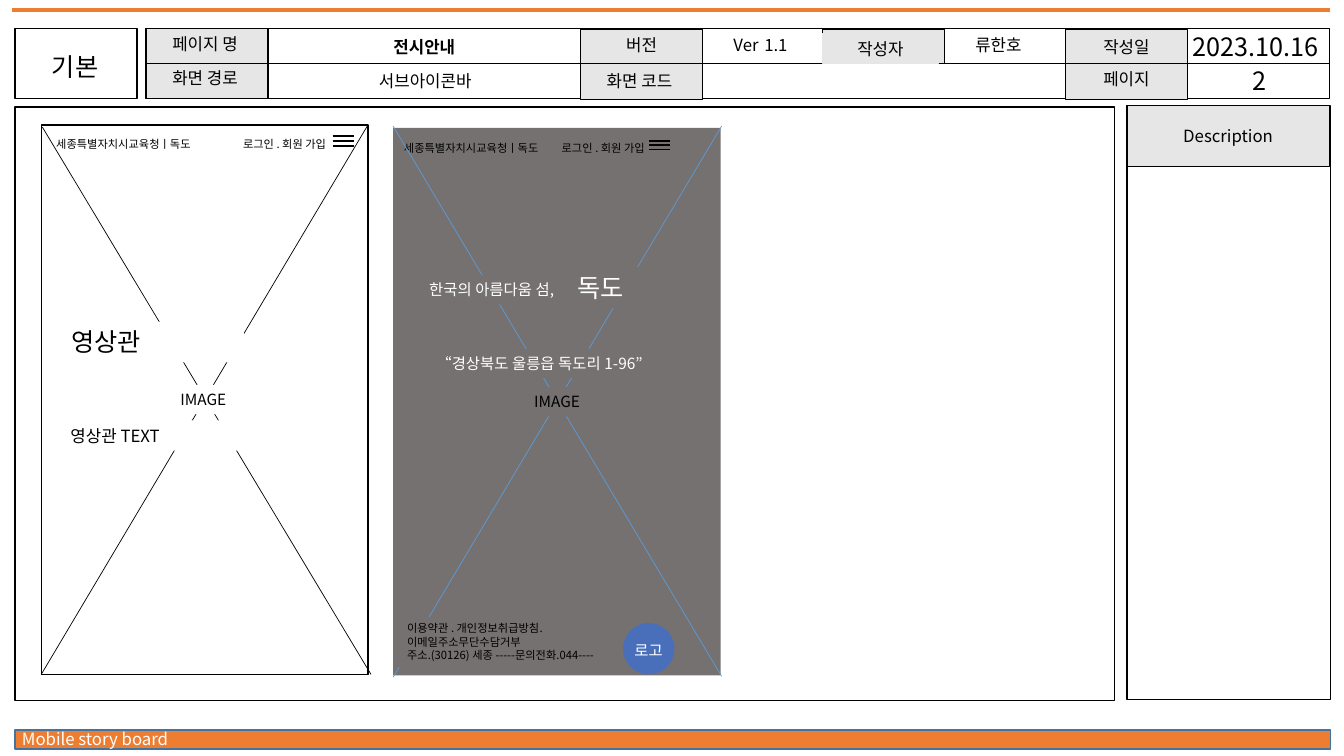
from dataclasses import dataclass

from lxml.etree import SubElement
from pptx import Presentation
from pptx.dml.color import RGBColor
from pptx.enum.shapes import MSO_CONNECTOR, MSO_SHAPE
from pptx.enum.text import MSO_ANCHOR, MSO_AUTO_SIZE, PP_ALIGN
from pptx.oxml.ns import qn
from pptx.util import Pt


@dataclass(frozen=True)
class Theme:
    """Colours, font and type sizes of the storyboard."""
    font: str = "Noto Sans CJK KR"
    ink: str = "000000"
    white: str = "FFFFFF"
    label: str = "E7E6E6"
    orange: str = "ED7D31"
    bar_edge: str = "43739E"
    screen: str = "767171"
    cross: str = "5B9BD5"
    badge: str = "496FBB"
    large: int = 18
    normal: int = 12
    caption: int = 11
    small: int = 8


theme = Theme()
LEFT, CENTER, RIGHT = PP_ALIGN.LEFT, PP_ALIGN.CENTER, PP_ALIGN.RIGHT

deck = Presentation()
deck.slide_width, deck.slide_height = Pt(960), Pt(540)
page = deck.slides.add_slide(deck.slide_layouts[5])


def add_box(area, paragraphs=(), size=theme.normal, color=theme.ink, align=LEFT,
            fill=None, line=None, weight=1, wrap=True, bold=False,
            kind=MSO_SHAPE.RECTANGLE, box=None):
    """Draw a box, or format the given one; paragraphs are lists of (text, size) or one string."""
    left, top, width, height = (Pt(value) for value in area)
    if box is None and (fill or line):
        box = page.shapes.add_shape(kind, left, top, width, height)
        box.shadow.inherit = False
    elif box is None:
        box = page.shapes.add_textbox(left, top, width, height)
    box.left, box.top, box.width, box.height = left, top, width, height
    if fill:
        box.fill.solid()
        box.fill.fore_color.rgb = RGBColor.from_string(fill)
    else:
        box.fill.background()
    if line:
        box.line.color.rgb = RGBColor.from_string(line)
        box.line.width = Pt(weight)
    else:
        box.line.fill.background()
    if not paragraphs:
        return
    if isinstance(paragraphs, str):
        paragraphs = [[(paragraphs, size)]]
    frame = box.text_frame
    frame.word_wrap = wrap
    frame.auto_size = MSO_AUTO_SIZE.SHAPE_TO_FIT_TEXT
    frame.vertical_anchor = MSO_ANCHOR.TOP
    for index, runs in enumerate(paragraphs):
        para = frame.add_paragraph() if index else frame.paragraphs[0]
        para.alignment = align
        for text, run_size in runs:
            span = para.add_run()
            span.text = text
            span.font.size = Pt(run_size)
            span.font.bold = bold
            span.font.name = theme.font
            span.font.color.rgb = RGBColor.from_string(color)
            SubElement(span.font._element, qn("a:ea"), typeface=theme.font)


def add_line(start, end, color=theme.ink, weight=1.0):
    """Draw a straight line without shadow between two points."""
    rule = page.shapes.add_connector(
        MSO_CONNECTOR.STRAIGHT, Pt(start[0]), Pt(start[1]), Pt(end[0]), Pt(end[1]))
    rule.line.color.rgb = RGBColor.from_string(color)
    rule.line.width = Pt(weight)
    SubElement(rule._element.spPr, qn("a:effectLst"))


# Page bands
add_line((8.6, 7.2), (949.7, 7.2), theme.orange, 3)
add_box((10.8, 521.3, 939.6, 13.7), fill=theme.orange, line=theme.bar_edge)
add_box((8.6, 517, 230.4, 21.8), "Mobile story board", color=theme.white)

# Header and content frames
for area in [(10.8, 20.2, 87.1, 50.4), (104.4, 20.2, 845.3, 50.4),
             (10.8, 76.3, 785.5, 424.1), (805, 75.6, 145.4, 424.1)]:
    add_box(area, line=theme.ink)
for area in [(104.4, 20.2, 87.1, 50.4), (414.7, 20.9, 87.1, 50.4),
             (587.5, 20.9, 87.1, 24.5), (761, 20.9, 87.1, 50.4),
             (805, 75.6, 144.7, 43.2)]:
    add_box(area, fill=theme.label, line=theme.ink)
add_line((104.4, 45.4), (949.7, 45.4), weight=0.5)

# Header labels and values
add_box((12.2, 33.1, 82.8, 30.2), "기본", theme.large, align=CENTER)
for left, top, width, text in [
        (105.1, 20.9, 82.8, "페이지 명"), (105.1, 44.6, 82.8, "화면 경로"),
        (416.9, 21.6, 82.8, "버전"), (415.4, 46.8, 82.8, "화면 코드"),
        (763.2, 23, 82.8, "작성일"), (763.2, 45.4, 82.8, "페이지"),
        (640.8, 21.6, 144.7, "류한호"), (221, 46.8, 165.6, "서브아이콘바"),
        (815, 86.4, 124.6, "Description")]:
    add_box((left, top, width, 21.8), text, align=CENTER)
add_box((587.5, 23.8, 82.8, 21.8), "작성자", align=CENTER, line=theme.label, weight=0.75)
add_box((824.4, 18.7, 144.7, 29.1), "2023.10.16", theme.large, align=CENTER)
add_box((849.6, 43.2, 100.1, 29.1), "2", theme.large, align=CENTER)
add_box((470.9, 15.1, 144.7, 29.1), align=CENTER, paragraphs=[
    [("Ver", theme.normal), (" ", theme.large), ("1.1", theme.normal)]])
add_box((220.3, 22.3, 165.6, 21.8), "전시안내", align=CENTER, bold=True,
        box=page.shapes.title)

# Phone screens: frame, menu bar and crossed image area
phones = [
    dict(frame=(29.5, 89.3, 233.3, 392.4), style=dict(line=theme.ink), site=33.1,
         login=152.6, menu=94.3, icon=(237.6, 97.2, 3.6), color=theme.ink,
         cross=[((29.5, 481.7), (262.8, 89.3)), ((265, 481.7), (30.2, 90.7))]),
    dict(frame=(280.8, 91.4, 234, 391), style=dict(fill=theme.screen), site=281.5,
         login=380.2, menu=97.2, icon=(463.7, 100.8, 2.9), color=theme.cross,
         cross=[((280.8, 90), (515.5, 483.1)), ((515.5, 90), (280.8, 483.8))]),
]
for phone in phones:
    add_box(phone["frame"], **phone["style"])
    add_box((phone["site"], phone["menu"], 134.6, 17.3), "세종특별자치시교육청ㅣ독도", theme.small)
    add_box((phone["login"], phone["menu"], 89.3, 17.3), "로그인 . 회원 가입 ",
            theme.small, align=RIGHT)
    left, top, gap = phone["icon"]
    for bar in range(3):
        add_line((left, top + bar * gap), (left + 15.1, top + bar * gap))
    for start, end in phone["cross"]:
        add_line(start, end, phone["color"], 0.5)

# First screen text
add_box((121.7, 275, 49, 20.9), "IMAGE", theme.caption, fill=theme.white, wrap=False)
add_box((43.9, 229.7, 130.3, 29.1), "영상관", theme.large, fill=theme.white)
add_box((43.2, 300.2, 130.3, 21.8), "영상관 TEXT", fill=theme.white)

# Second screen text
add_box((299.5, 196.6, 113.8, 20.9), "한국의 아름다움 섬,", theme.caption, theme.white,
        fill=theme.screen, wrap=False)
add_box((374.4, 276.5, 49, 20.9), "IMAGE", theme.caption, fill=theme.screen)
add_box((445, 445, 36.7, 36.7), fill=theme.badge, kind=MSO_SHAPE.OVAL)
add_box((437, 454.3, 52.6, 20.9), "로고", theme.caption, theme.white, CENTER)
add_box((283.7, 440.6, 157.7, 36), fill=theme.screen, paragraphs=[
    [("이용약관 . 개인정보취급방침.이메일주소무단수담거부", theme.small)],
    [("주소.(30126) 세종 -----문의전화.044----", theme.small)]])
add_box((405.4, 190.8, 51.1, 29.1), "독도", theme.large, theme.white,
        fill=theme.screen, wrap=False)
add_box((304.6, 249.1, 174.2, 20.9), "“경상북도 울릉읍 독도리 1-96”", theme.caption,
        theme.white, fill=theme.screen, wrap=False)

deck.save("out.pptx")
